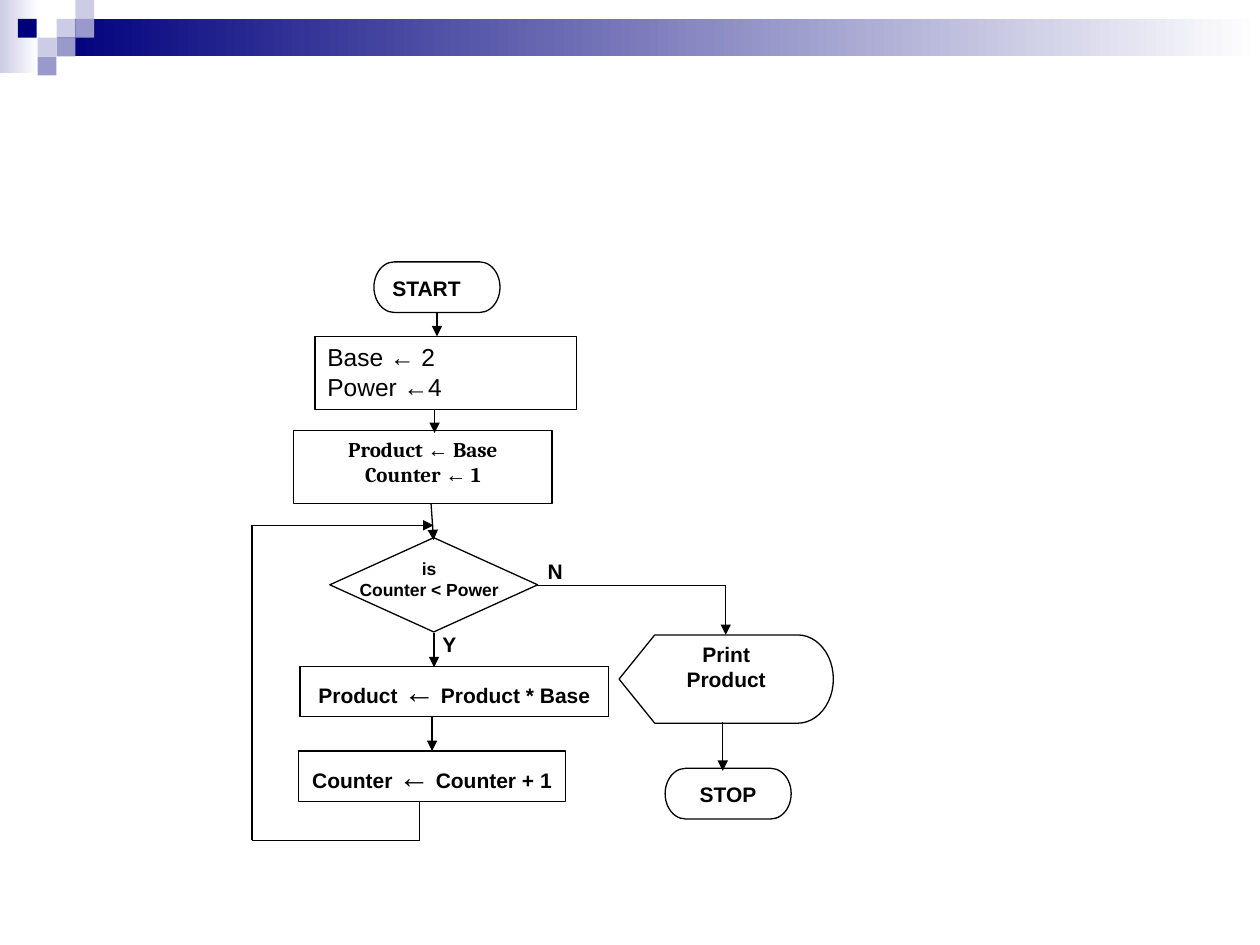
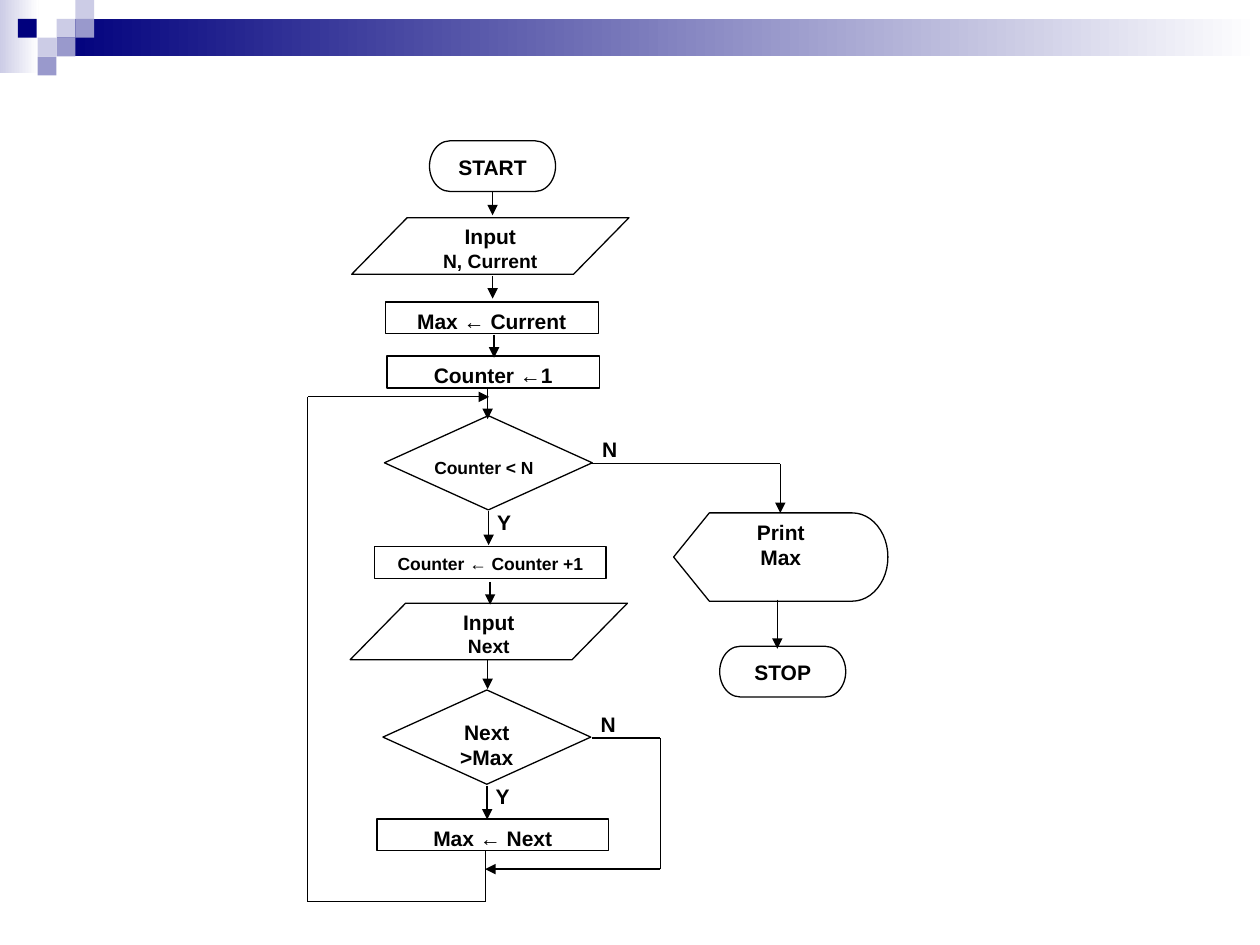
from itertools import pairwise

from lxml import etree
from pptx import Presentation
from pptx.dml.color import RGBColor
from pptx.enum.shapes import MSO_CONNECTOR, MSO_SHAPE
from pptx.enum.text import MSO_ANCHOR, PP_ALIGN
from pptx.oxml.ns import qn
from pptx.util import Cm, Pt

LEFT, CENTER = PP_ALIGN.LEFT, PP_ALIGN.CENTER
TOP = MSO_ANCHOR.TOP
LINE = MSO_CONNECTOR.STRAIGHT
RECT = MSO_SHAPE.RECTANGLE
STEP = MSO_SHAPE.FLOWCHART_PROCESS
PILL = MSO_SHAPE.FLOWCHART_TERMINATOR
TEST = MSO_SHAPE.FLOWCHART_DECISION
SHOW = MSO_SHAPE.FLOWCHART_DISPLAY
DATA = MSO_SHAPE.FLOWCHART_DATA

INK, WHITE = "000000", "FFFFFF"
NAVY, MID, PALE = "00007D", "9999CC", "CCCCE6"
FONT = "Arial"
CELL = 0.38
PILL_SIZE = (2.54, 1.02)
DATA_SIZE = (5.59, 1.14)
TEST_SIZE = (4.19, 1.9)


def color(code):
    return RGBColor.from_string(code)


def style(font, size, name=FONT, bold=True):
    font.name = name
    font.size = Pt(size)
    font.bold = bold
    font.color.rgb = color(INK)


def write(shape, lines, sizes, align=CENTER, name=FONT, bold=True, arrow=None):
    frame = shape.text_frame
    frame.word_wrap = True
    frame.vertical_anchor = TOP
    for i, (line, size) in enumerate(zip(lines, sizes)):
        para = frame.paragraphs[0] if i == 0 else frame.add_paragraph()
        para.alignment = align
        if not arrow:
            para.text = line
            style(para.font, size, name, bold)
            continue
        for part in line.partition("←"):
            run = para.add_run()
            run.text = part
            if part == "←":
                style(run.font, arrow, bold=False)
            else:
                style(run.font, size, name, bold)


def node(slide, kind, at, extent, lines=(), sizes=(12, 12), **look):
    shape = slide.shapes.add_shape(kind, *map(Cm, (*at, *extent)))
    shape.shadow.inherit = False
    shape.fill.solid()
    shape.fill.fore_color.rgb = color(WHITE)
    shape.line.color.rgb = color(INK)
    shape.line.width = Pt(0.75)
    write(shape, lines, sizes, **look)
    return shape


def label(slide, at, lines, extent=(1.27, 0.76), size=12, align=LEFT):
    box = slide.shapes.add_textbox(*map(Cm, (*at, *extent)))
    write(box, lines, [size] * len(lines), align)


def route(slide, x, y, *points):
    for (x1, y1), (x2, y2) in pairwise(points):
        line = slide.shapes.add_connector(
            LINE, Cm(x + x1), Cm(y + y1), Cm(x + x2), Cm(y + y2))
        line.line.color.rgb = color(INK)
        line.line.width = Pt(0.75)
        etree.SubElement(line.element.spPr, qn("a:effectLst"))
    etree.SubElement(line.line._get_or_add_ln(), qn("a:tailEnd"), type="triangle")


def drops(slide, x, y, spans):
    for across, start, end in spans:
        route(slide, x, y, (across, start), (across, end))


def test(slide, x, y, lines=()):
    node(slide, TEST, (x, y), TEST_SIZE, lines)
    label(slide, (x + 4.14, y + 0.3), ["N"])
    label(slide, (x + 2.02, y + 1.77), ["Y"])
    drops(slide, x, y, [(2.1, 1.93, 2.61)])


def finish(slide, x, y, result):
    node(slide, SHOW, (x + 5.83, y + 1.96), (4.32, 1.78), ["Print", result])
    node(slide, PILL, (x + 6.76, y + 4.65), PILL_SIZE, ["STOP"])
    route(slide, x, y, (4.17, 0.97), (7.98, 0.97), (7.98, 1.96))
    drops(slide, x, y, [(7.92, 3.71, 4.7)])


def band(slide, master):
    tree = master.element.cSld.spTree
    parts = [
        (0, 0, 0.78, 1.47, PALE, True),
        (3 * CELL, CELL, 25.4 - 3 * CELL, 2 * CELL, NAVY, True),
    ]
    tiles = [(3, 1, PALE), (4, 0, PALE), (4, 1, MID), (2, 2, PALE),
             (0.95, 1, NAVY), (3, 2, MID), (2, 3, MID)]
    parts += [(c * CELL, r * CELL, CELL, CELL, code, False) for c, r, code in tiles]
    for i, (x, y, w, h, code, fade) in enumerate(parts):
        shape = slide.shapes.add_shape(RECT, *map(Cm, (x, y, w, h)))
        shape.shadow.inherit = False
        shape.line.fill.background()
        if fade:
            shape.fill.gradient()
            shape.fill.gradient_angle = 0
            for stop, tone in zip(shape.fill.gradient_stops, (code, WHITE)):
                stop.color.rgb = color(tone)
        else:
            shape.fill.solid()
            shape.fill.fore_color.rgb = color(code)
        shape.element.nvSpPr.cNvPr.id = 100 + i
        tree.append(shape.element)


def power(slide, x, y):
    node(slide, PILL, (x + 2.46, y), PILL_SIZE, ["START"], align=LEFT)
    base = node(slide, RECT, (x + 1.27, y + 1.5), (5.28, 1.47),
                ["Base ← 2", "Power ←4"], (14, 14), align=LEFT, bold=False)
    base.fill.background()
    node(slide, STEP, (x + 0.84, y + 3.4), (5.21, 1.47),
         ["Product ← Base", "Counter ← 1"], name="Cambria", arrow=12)
    test(slide, x + 1.57, y + 5.56)
    label(slide, (x + 1.78, y + 5.84), ["is", "Counter < Power"], (3.58, 1.04), 10, CENTER)
    finish(slide, x + 1.57, y + 5.56, "Product")
    node(slide, STEP, (x + 0.97, y + 8.15), (6.22, 1.02),
         ["Product ← Product * Base"], arrow=18)
    node(slide, STEP, (x + 0.94, y + 9.86), (5.38, 1.02),
         ["Counter ← Counter + 1"], arrow=18)
    drops(slide, x, y, [(3.73, 1.02, 1.5), (3.68, 2.97, 3.45), (3.63, 9.17, 9.86)])
    route(slide, x, y, (3.61, 4.88), (3.66, 5.61))
    route(slide, x, y, (3.38, 10.88), (3.38, 11.66), (0, 11.66), (0, 5.31), (3.66, 5.31))


def largest(slide, x, y):
    node(slide, PILL, (x + 2.46, y), PILL_SIZE, ["START"])
    node(slide, DATA, (x + 0.89, y + 1.55), DATA_SIZE, ["Input", "N, Current"], (12, 11))
    node(slide, STEP, (x + 1.57, y + 3.25), (4.29, 0.64), ["Max ← Current"])
    node(slide, STEP, (x + 1.6, y + 4.34), (4.29, 0.64), ["Counter ←1"])
    test(slide, x + 1.55, y + 5.54)
    label(slide, (x + 1.75, y + 6.25), ["Counter < N"], (3.61, 0.64), 10, CENTER)
    finish(slide, x + 1.55, y + 5.54, "Max")
    node(slide, STEP, (x + 1.35, y + 8.18), (4.67, 0.64), ["Counter ← Counter +1"], [10])
    node(slide, DATA, (x + 0.86, y + 9.32), DATA_SIZE, ["Input", "Next"], (12, 11))
    test(slide, x + 1.52, y + 11.07, ["Next >Max"])
    node(slide, STEP, (x + 1.4, y + 13.67), (4.67, 0.64), ["Max ← Next"])
    drops(slide, x, y, [
        (3.73, 1.02, 1.5), (3.73, 2.72, 3.18), (3.76, 3.91, 4.37),
        (3.63, 4.98, 5.61), (3.68, 8.89, 9.35), (3.63, 10.46, 11.05)])
    route(slide, x, y, (3.58, 14.3), (3.58, 15.34), (0, 15.34), (0, 5.16), (3.66, 5.16))
    route(slide, x, y, (5.74, 12.04), (7.11, 12.04), (7.11, 14.68), (3.58, 14.68))


def main():
    deck = Presentation()
    deck.slide_width, deck.slide_height = Cm(25.4), Cm(19.05)
    blank = deck.slide_layouts[6]
    first = deck.slides.add_slide(blank)
    band(first, deck.slide_master)
    power(first, 5.08, 5.28)
    largest(deck.slides.add_slide(blank), 6.2, 2.84)
    deck.save("out.pptx")


if __name__ == "__main__":
    main()
